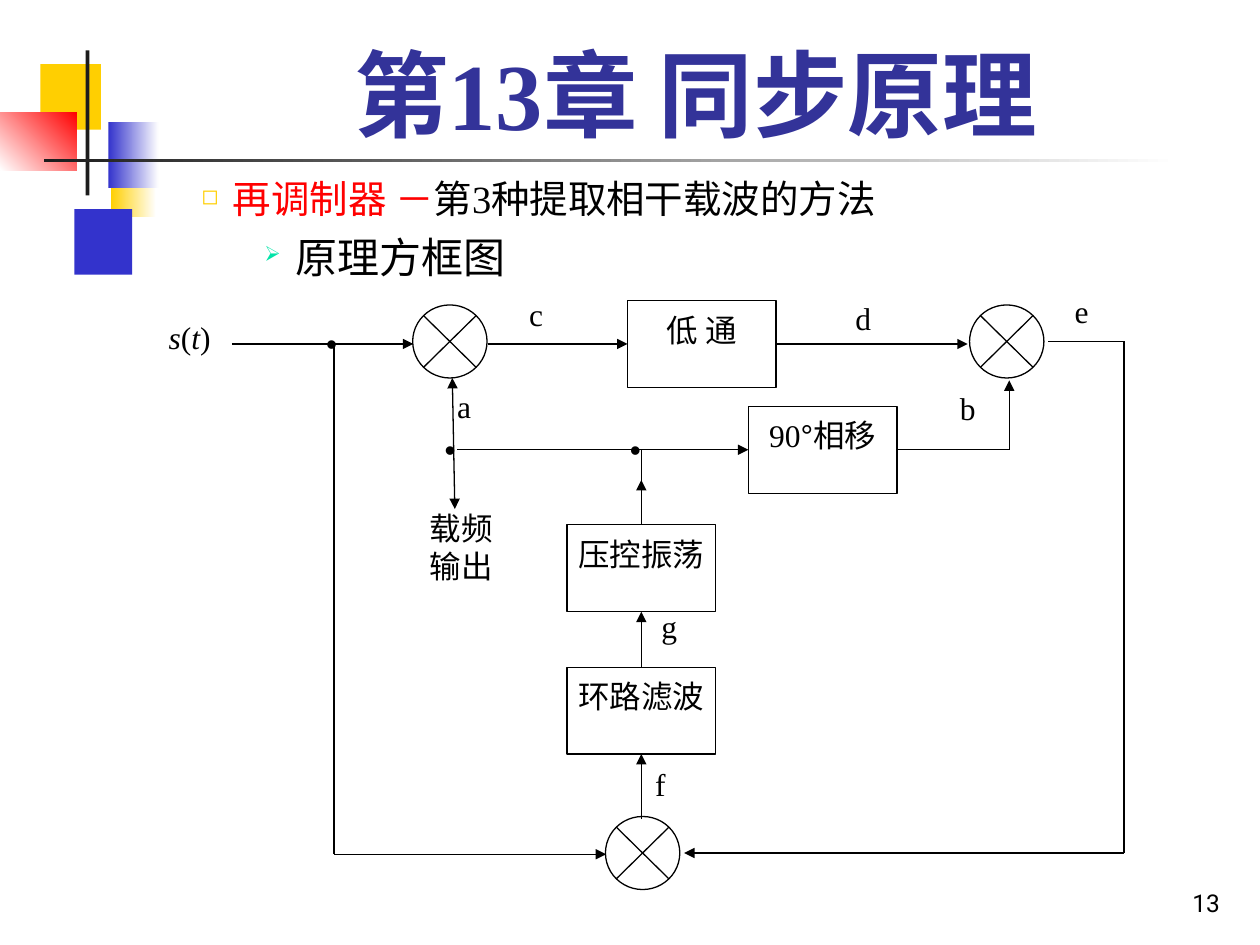
from lxml.etree import SubElement
from pptx import Presentation
from pptx.dml.color import RGBColor
from pptx.enum.shapes import MSO_CONNECTOR, MSO_SHAPE
from pptx.enum.text import MSO_ANCHOR, PP_ALIGN
from pptx.oxml.ns import qn
from pptx.util import Inches, Pt

SERIF = "Times New Roman"
BLACK, WHITE, BLUE, YELLOW = "000000", "FFFFFF", "3333CC", "FFCF01"
TOP, LEFT, BOTTOM, RIGHT = range(4)
BOX_SIZE = (1.18, 0.69)
CIRCLE_SIZE = (0.59, 0.58)
LABEL_SIZE = (0.61, 0.58)
MARGINS = (0.1, 0.05, 0.1, 0.05)
# Guide lines of the block diagram
TAP_X, LOOP_X, FEEDBACK_X, PHASE_X = 2.65, 5.09, 8.92, 8.01
SIGNAL_Y, CARRIER_Y, RETURN_Y = 2.73, 3.57, 6.78


def color(value):
    return RGBColor.from_string(value)


def centered(center, size):
    return (center[0] - size[0] / 2, center[1] - size[1] / 2, *size)


def format_font(font, size, name=SERIF, fill=BLACK):
    font.size, font.name = Pt(size), name
    font.color.rgb = color(fill)


def set_frame(frame, margins, anchor=MSO_ANCHOR.TOP):
    frame.word_wrap = True
    frame.vertical_anchor = anchor
    (frame.margin_left, frame.margin_top,
     frame.margin_right, frame.margin_bottom) = map(Inches, margins)


def add_runs(paragraph, texts):
    for text in texts:
        paragraph.add_run().text = text
    return paragraph.runs


def add_text(slide, area, text, align=PP_ALIGN.JUSTIFY, margins=MARGINS,
             size=18, font=SERIF, anchor=MSO_ANCHOR.TOP):
    frame = slide.shapes.add_textbox(*map(Inches, area)).text_frame
    set_frame(frame, margins, anchor)
    frame.text = text
    for paragraph in frame.paragraphs:
        paragraph.alignment = align
        for run in paragraph.runs:
            format_font(run.font, size, font)
    return frame


def add_shape(slide, kind, area, fill, line=None):
    shape = slide.shapes.add_shape(kind, *map(Inches, area))
    shape.shadow.inherit = False
    shape.fill.solid()
    shape.fill.fore_color.rgb = color(fill)
    if line:
        shape.line.color.rgb = color(line)
        shape.line.width = Pt(0.75)
    else:
        shape.line.fill.background()
    return shape


def add_fade(slide, area, start, angle=0):
    """Rectangle that fades from a colour to white."""
    fill = add_shape(slide, MSO_SHAPE.RECTANGLE, area, start).fill
    fill.gradient()
    fill.gradient_angle = angle
    for stop, value in zip(fill.gradient_stops, (start, WHITE)):
        stop.color.rgb = color(value)


def add_block(slide, center, texts):
    block = add_shape(slide, MSO_SHAPE.RECTANGLE, centered(center, BOX_SIZE), WHITE, BLACK)
    set_frame(block.text_frame, (0, 0.08, 0, 0))
    paragraph = block.text_frame.paragraphs[0]
    paragraph.alignment = PP_ALIGN.CENTER
    for run in add_runs(paragraph, texts):
        format_font(run.font, 18, "Arial" if run.text == "°" else SERIF)
    return block


def add_wire(slide, start, end, arrows=()):
    """Each end is a point or a (block, side) pair; arrows lists headEnd, tailEnd."""
    is_point = [isinstance(stop[0], (int, float)) for stop in (start, end)]
    points = [stop if point else (0, 0) for stop, point in zip((start, end), is_point)]
    wire = slide.shapes.add_connector(
        MSO_CONNECTOR.STRAIGHT, *(Inches(value) for point in points for value in point))
    if not is_point[0]:
        wire.begin_connect(*start)
    if not is_point[1]:
        wire.end_connect(*end)
    wire.line.color.rgb = color(BLACK)
    wire.line.width = Pt(0.75)
    for arrow in arrows:
        SubElement(wire.line._get_or_add_ln(), qn(f"a:{arrow}"), type="triangle")
    SubElement(wire._element.spPr, qn("a:effectLst"))


def set_bullet(paragraph, character, fill, percent, margin):
    properties = paragraph._p.get_or_add_pPr()
    properties.set("marL", str(Inches(margin)))
    properties.set("indent", str(Inches(-0.25)))
    bullet_color = SubElement(properties, qn("a:buClr"))
    SubElement(bullet_color, qn("a:srgbClr"), val=fill)
    SubElement(properties, qn("a:buSzPct"), val=str(percent * 1000))
    SubElement(properties, qn("a:buChar"), char=character)


def add_decoration(slide):
    add_fade(slide, (0.88, 1.2, 0.36, 0.52), YELLOW)
    add_shape(slide, MSO_SHAPE.RECTANGLE, (0.59, 1.66, 0.46, 0.52), BLUE)
    add_shape(slide, MSO_SHAPE.RECTANGLE, (0.32, 0.51, 0.48, 0.52), YELLOW)
    add_fade(slide, (0.86, 0.97, 0.4, 0.52), BLUE)
    add_fade(slide, (0, 0.89, 0.61, 0.46), "FF0000", 225)
    add_shape(slide, MSO_SHAPE.RECTANGLE, (0.68, 0.4, 0.03, 1.15), "1C1C1C")
    add_fade(slide, (0.35, 1.26, 9, 0.03), "1C1C1C")


def add_heading(slide):
    title = slide.shapes.title
    title.left, title.top, title.width, title.height = map(Inches, (1.26, 0.23, 8.52, 1.01))
    frame = title.text_frame
    set_frame(frame, MARGINS, MSO_ANCHOR.BOTTOM)
    frame.text = "第13章 同步原理"
    frame.paragraphs[0].alignment = PP_ALIGN.CENTER
    font = frame.paragraphs[0].runs[0].font
    format_font(font, 54, fill="333399")
    font.bold = True


def add_outline(slide):
    frame = add_text(slide, (0, 1.34, 10, 0.98), "", PP_ALIGN.LEFT)
    method, diagram = frame.paragraphs[0], frame.add_paragraph()
    set_bullet(method, "◻", YELLOW, 55, 1.75)
    set_bullet(diagram, "➢", "00E4A8", 50, 2.25)
    diagram.space_before = Pt(6)
    name, description = add_runs(method, ("再调制器 －", "第3种提取相干载波的方法"))
    format_font(name.font, 22, fill="FF0000")
    format_font(description.font, 22)
    format_font(add_runs(diagram, ("原理方框图",))[0].font, 24)


def add_diagram(slide):
    for center in ((3.57, 2.71), (7.99, 2.71), (5.1, 6.77)):
        add_shape(slide, MSO_SHAPE.FLOWCHART_SUMMING_JUNCTION,
                  centered(center, CIRCLE_SIZE), WHITE, BLACK)
    low_pass = add_block(slide, (5.57, SIGNAL_Y), ("低 通",))
    phase_shift = add_block(slide, (6.53, CARRIER_Y), ("90", "°", "相移"))
    oscillator = add_block(slide, (LOOP_X, 4.51), ("压控振荡",))
    loop_filter = add_block(slide, (LOOP_X, 5.64), ("环路滤波",))

    forward, both = ("tailEnd",), ("headEnd", "tailEnd")
    for wire in (
        ((1.84, SIGNAL_Y), (3.28, SIGNAL_Y), forward),
        ((3.87, SIGNAL_Y), (low_pass, LEFT), forward),
        ((low_pass, RIGHT), (7.68, SIGNAL_Y), forward),
        ((8.32, 2.71), (FEEDBACK_X, 2.71)),
        ((FEEDBACK_X, 2.71), (FEEDBACK_X, 6.77)),
        ((FEEDBACK_X, 6.77), (5.43, 6.77), forward),
        ((TAP_X, SIGNAL_Y), (TAP_X, RETURN_Y)),
        ((TAP_X, RETURN_Y), (4.81, RETURN_Y), forward),
        ((LOOP_X, 6.5), (loop_filter, BOTTOM), forward),
        ((loop_filter, TOP), (oscillator, BOTTOM), forward),
        ((oscillator, TOP), (LOOP_X, 3.81), forward),
        ((LOOP_X, 3.89), (LOOP_X, CARRIER_Y)),
        ((3.63, CARRIER_Y), (phase_shift, LEFT), forward),
        ((phase_shift, RIGHT), (PHASE_X, CARRIER_Y)),
        ((PHASE_X, CARRIER_Y), (PHASE_X, 3.02), forward),
        ((3.59, 3), (3.61, 4.04), both),
    ):
        add_wire(slide, *wire)

    for left, top in ((2.49, 2.52), (3.43, 3.36), (4.9, 3.36)):
        add_text(slide, (left, top, *LABEL_SIZE), "•", font="Arial")
    for letter, left, top in (
        ("a", 3.53, 3.02), ("b", 7.52, 3.04), ("c", 4.1, 2.29), ("d", 6.69, 2.32),
        ("e", 8.43, 2.27), ("f", 5.1, 6.02), ("g", 5.15, 4.77),
    ):
        add_text(slide, (left, top, *LABEL_SIZE), letter)
    add_text(slide, (3.41, 4.04, 0.7, 0.83), "载频\n输出", margins=(0, 0, 0, 0))
    signal = add_text(slide, (1.21, 2.52, 0.59, 0.52), "", PP_ALIGN.CENTER, (0, 0, 0, 0))
    for run in add_runs(signal.paragraphs[0], "s(t)"):
        format_font(run.font, 18)
        run.font.italic = run.text.isalpha()


def main():
    presentation = Presentation()
    presentation.slide_width, presentation.slide_height = Inches(10), Inches(7.5)
    slide = presentation.slides.add_slide(presentation.slide_layouts[5])
    add_decoration(slide)
    add_heading(slide)
    add_outline(slide)
    add_diagram(slide)
    add_text(slide, (7.7, 6.83, 2.08, 0.5), "13", PP_ALIGN.RIGHT,
             size=14, font="Roboto", anchor=MSO_ANCHOR.BOTTOM)
    presentation.save("out.pptx")


if __name__ == "__main__":
    main()
